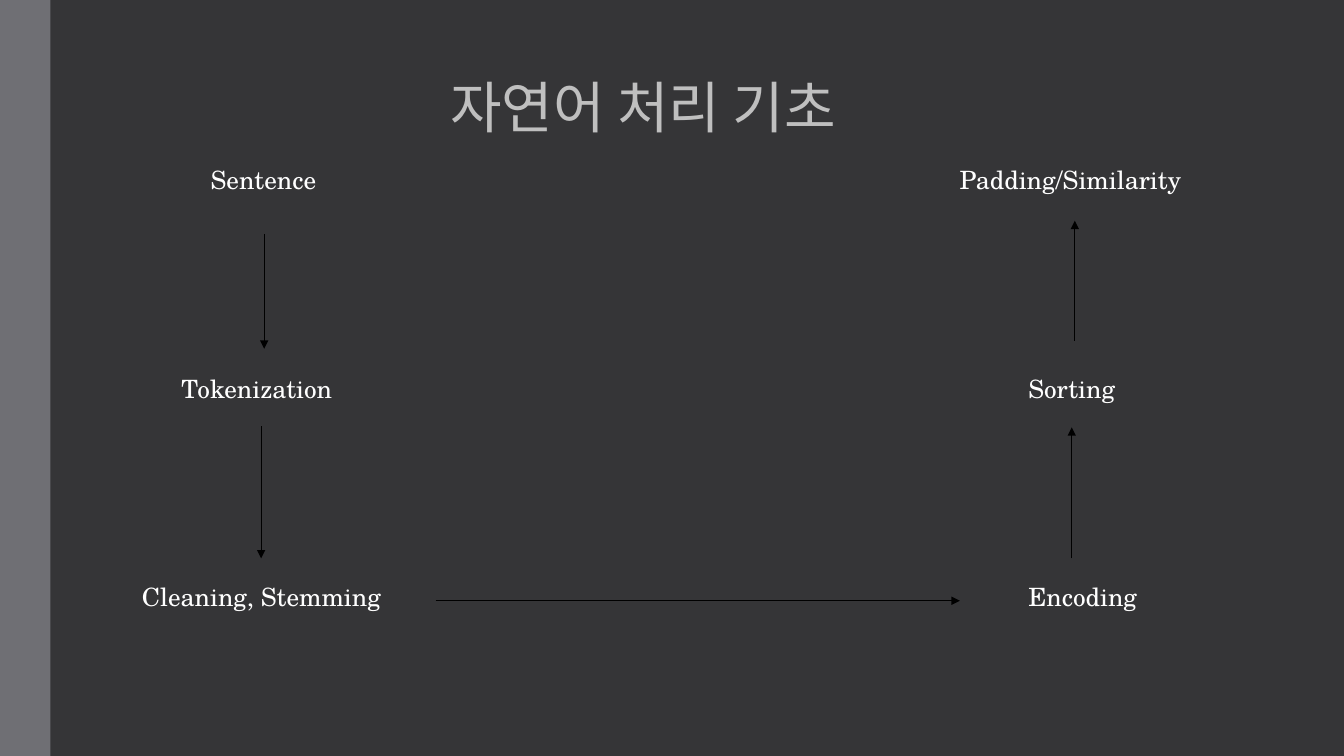
from pptx import Presentation
from pptx.dml.color import RGBColor
from pptx.enum.shapes import MSO_CONNECTOR, MSO_SHAPE
from pptx.enum.text import MSO_ANCHOR, PP_ALIGN
from pptx.oxml.ns import qn
from pptx.util import Pt
from lxml import etree

PX = 9144  # 100 px to the inch
FONT = "TeX Gyre Schola"
RECT = MSO_SHAPE.RECTANGLE
LINE = MSO_CONNECTOR.STRAIGHT
MIDDLE, TOP = MSO_ANCHOR.MIDDLE, MSO_ANCHOR.TOP
CENTER, LEFT = PP_ALIGN.CENTER, PP_ALIGN.LEFT

DARK = RGBColor(0x35, 0x35, 0x37)
GREY = RGBColor(0x6F, 0x6F, 0x74)
PALE = RGBColor(0xBF, 0xBF, 0xBF)
WHITE = RGBColor(0xFF, 0xFF, 0xFF)
BLACK = RGBColor(0, 0, 0)

ROWS = (158, 365, 572)
STEP_H = 40
# Each step: text, left, width, from the top row down
LEFT_STEPS = (
    ("Sentence", 199, 183),
    ("Tokenization", 170, 183),
    ("Cleaning, Stemming", 131, 261),
)
RIGHT_STEPS = (
    ("Padding/Similarity", 942, 301),
    ("Sorting", 1010, 112),
    ("Encoding", 1010, 128),
)
# Each arrow: start x, start y, end x, end y, in reading order
ARROWS = (
    (262, 232, 262, 346),
    (259, 423, 259, 554),
    (432, 596, 952, 596),
    (1063, 554, 1063, 424),
    (1066, 338, 1066, 219),
)


def emu(*px):
    return [n * PX for n in px]


def add_bar(slide, box, color):
    bar = slide.shapes.add_shape(RECT, *emu(*box))
    bar.shadow.inherit = False
    bar.fill.solid()
    bar.fill.fore_color.rgb = color
    bar.line.fill.background()


def add_text(slide, text, box, size, color, align=LEFT, anchor=TOP):
    frame = slide.shapes.add_textbox(*emu(*box)).text_frame
    frame.word_wrap = True
    frame.vertical_anchor = anchor
    para = frame.paragraphs[0]
    para.text = text
    para.alignment = align
    para.font.name = FONT
    para.font.size = Pt(size)
    para.font.color.rgb = color
    return para


def add_arrow(slide, ends):
    arrow = slide.shapes.add_connector(LINE, *emu(*ends))
    arrow.line.color.rgb = BLACK
    arrow.line.width = Pt(0.75)
    line = arrow.line._get_or_add_ln()
    etree.SubElement(line, qn("a:tailEnd"), type="triangle")
    etree.SubElement(arrow._element.spPr, qn("a:effectLst"))


def main():
    deck = Presentation()
    deck.slide_width, deck.slide_height = emu(1333, 750)
    slide = deck.slides.add_slide(deck.slide_layouts[6])

    # Background and side bar
    slide.background.fill.solid()
    slide.background.fill.fore_color.rgb = DARK
    add_bar(slide, (0, 0, 50, 750), GREY)

    # Title
    title = add_text(slide, "자연어 처리 기초", (123, 77, 1030, 62), 40, PALE,
                     CENTER, MIDDLE)
    title.line_spacing = 0.95

    # Steps, down the left side and up the right
    for steps in (LEFT_STEPS, RIGHT_STEPS):
        for (text, left, width), top in zip(steps, ROWS):
            add_text(slide, text, (left, top, width, STEP_H), 18, WHITE)

    # Arrows between the steps
    for ends in ARROWS:
        add_arrow(slide, ends)

    deck.save("out.pptx")


if __name__ == "__main__":
    main()
